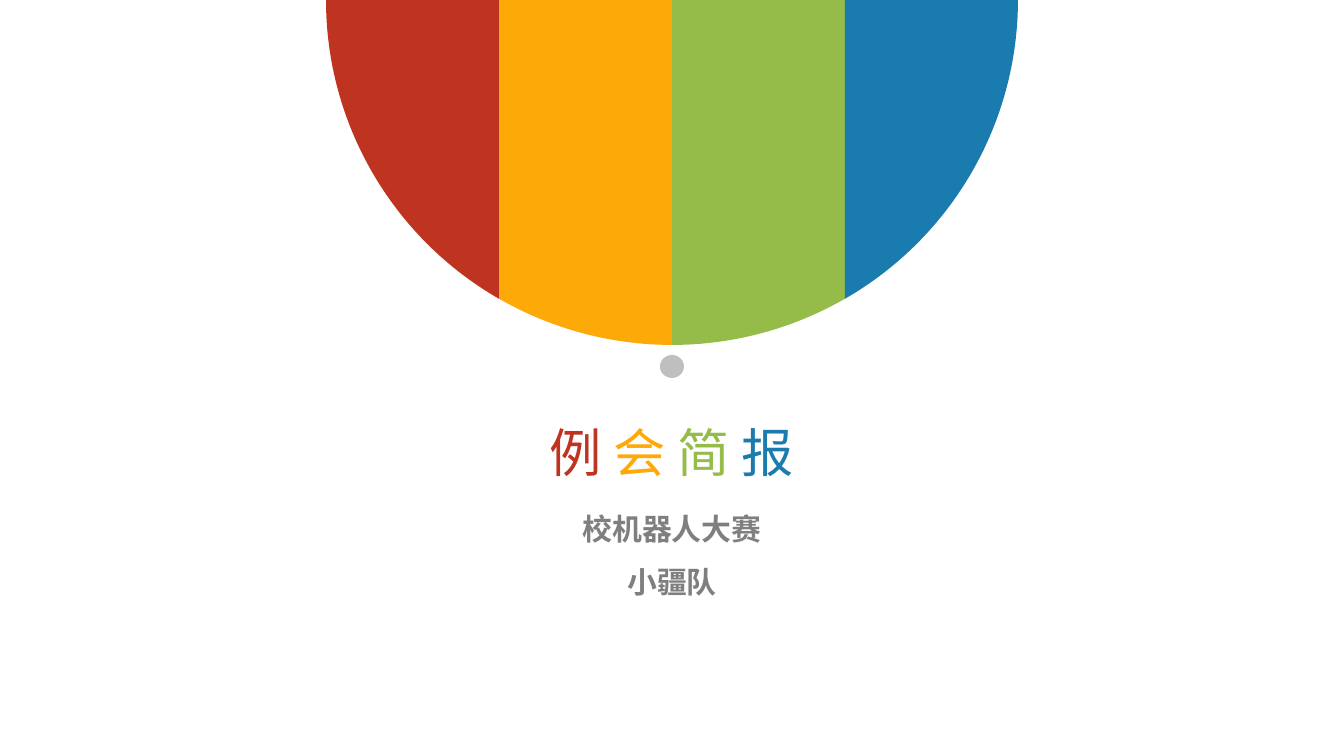
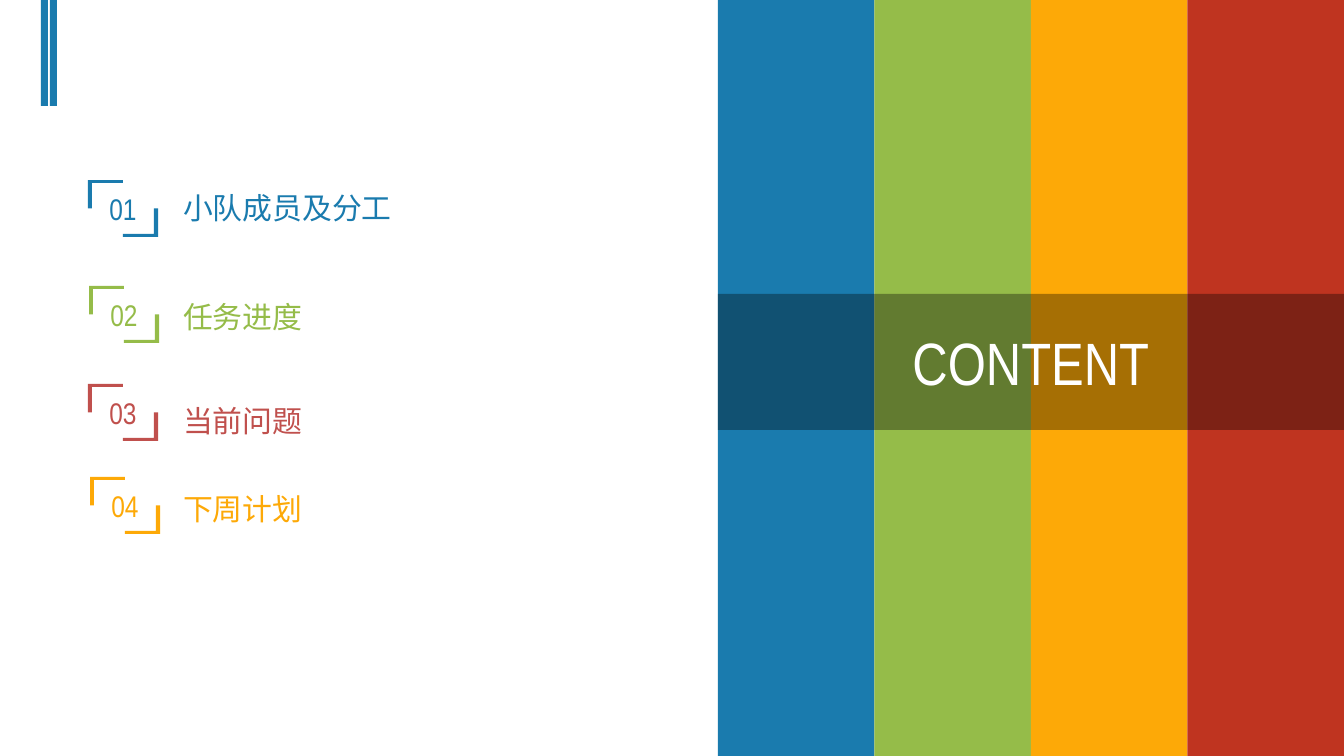
import math

from lxml import etree
from pptx import Presentation
from pptx.dml.color import RGBColor
from pptx.enum.shapes import MSO_SHAPE
from pptx.enum.text import MSO_ANCHOR, MSO_AUTO_SIZE, PP_ALIGN
from pptx.oxml.ns import qn
from pptx.util import Pt

RECT, OVAL = MSO_SHAPE.RECTANGLE, MSO_SHAPE.OVAL
LEFT, CENTER = PP_ALIGN.LEFT, PP_ALIGN.CENTER
TOP, MIDDLE = MSO_ANCHOR.TOP, MSO_ANCHOR.MIDDLE
FIT_SHAPE = MSO_AUTO_SIZE.SHAPE_TO_FIT_TEXT

SLIDE_W, SLIDE_H = 1344, 756
EMU_PER_PX = 914400 / 134.4

COLORS = {
    "red": "BF3420", "orange": "FDA907", "green": "95BC49", "blue": "1A7BAE",
    "rose": "C0504D", "dot": "BFBFBF", "gray": "7F7F7F",
    "black": "000000", "white": "FFFFFF",
}
STRIPES = ["red", "orange", "green", "blue"]
BODY_FONT, NARROW_FONT = "Arial", "Arial Narrow"

TITLE = ["例 ", "会 ", "简 ", "报"]
SUBTITLE = ["校机器人大赛", "小疆队"]

# number, label, colour, frame corner, label top
AGENDA = [
    ("01", "小队成员及分工", "blue", (88, 180), 183),
    ("02", "任务进度", "green", (89, 286), 292),
    ("03", "当前问题", "rose", (88, 384), 396),
    ("04", "下周计划", "orange", (90, 477), 484),
]


def px(value):
    return round(value * EMU_PER_PX)


def rgb(name):
    return RGBColor.from_string(COLORS[name])


def paint(sp, color, opacity=100):
    sp.shadow.inherit = False
    sp.line.fill.background()
    sp.fill.solid()
    sp.fill.fore_color.rgb = rgb(color)
    if opacity < 100:
        clr = sp.element.find(".//" + qn("a:srgbClr"))
        etree.SubElement(clr, qn("a:alpha"), val=str(opacity * 1000))
    return sp


def add_shape(slide, kind, box, color, opacity=100):
    sp = slide.shapes.add_shape(kind, *map(px, box))
    return paint(sp, color, opacity)


def add_outline(slide, contours, color):
    """Fill one freeform made of closed contours, given as px points."""
    contours = [[(px(x), px(y)) for x, y in points] for points in contours]
    builder = slide.shapes.build_freeform(*contours[0][0], scale=1.0)
    for i, points in enumerate(contours):
        if i:
            builder.move_to(*points[0])
        builder.add_line_segments(points[1:], close=True)
    return paint(builder.convert_to_shape(), color)


def curve_segments(sp, first):
    """Merge three line segments, from index first, into one Bézier curve."""
    lines = list(sp.element.iter(qn("a:lnTo")))[first:first + 3]
    curve = etree.Element(qn("a:cubicBezTo"))
    lines[0].addprevious(curve)
    for line in lines:
        curve.append(line[0])
        line.getparent().remove(line)


def write(sp, paragraphs, size, font=BODY_FONT, bold=False, align=CENTER,
          anchor=MIDDLE, spacing=None):
    """Fill a shape with paragraphs, each a list of (text, colour) runs."""
    tf = sp.text_frame
    tf.word_wrap = True
    tf.vertical_anchor = anchor
    for i, runs in enumerate(paragraphs):
        p = tf.add_paragraph() if i else tf.paragraphs[0]
        p.alignment = align
        if spacing:
            p.line_spacing = spacing
        for text, color in runs:
            r = p.add_run()
            r.text = text
            r.font.size = Pt(size)
            r.font.name = font
            r.font.bold = bold
            r.font.color.rgb = rgb(color)


def add_text(slide, box, paragraphs, size, **fmt):
    sp = slide.shapes.add_textbox(*map(px, box))
    write(sp, paragraphs, size, anchor=TOP, **fmt)
    sp.text_frame.auto_size = FIT_SHAPE


def add_half_disc(slide, rx=346, ry=345):
    """Hang a half disc, cut into equal stripes, from the top edge."""
    mid = SLIDE_W / 2
    n = len(STRIPES)
    cuts = [2 * i / n - 1 for i in range(n + 1)]
    for color, left, right in zip(STRIPES, cuts, cuts[1:]):
        start, end = math.acos(left), math.acos(right)
        k = 4 / 3 * math.tan((start - end) / 4)
        (x0, y0), (x3, y3) = [(math.cos(a), math.sin(a))
                              for a in (start, end)]
        unit = [(right, 0), (left, 0), (x0, y0),
                (x0 + k * y0, y0 - k * x0), (x3 - k * y3, y3 + k * x3),
                (x3, y3)]
        points = [(mid + rx * x, ry * y) for x, y in unit]
        curve_segments(add_outline(slide, [points], color), first=2)


def add_corner_frame(slide, x, y, number, color):
    w, h, bar_w, bar_h = 70, 57, 4, 3
    corner = [(0, 0), (w / 2, 0), (w / 2, bar_h), (bar_w, bar_h),
              (bar_w, h / 2), (0, h / 2)]
    top_left = [(x + dx, y + dy) for dx, dy in corner]
    bottom_right = [(x + w - dx, y + h - dy) for dx, dy in corner]
    sp = add_outline(slide, [bottom_right, top_left], color)
    write(sp, [[(number, color)]], 16, font=NARROW_FONT)


def build_cover(slide):
    add_half_disc(slide)
    add_shape(slide, OVAL, (660, 355, 24, 23), "dot")
    add_text(slide, (238, 414, 867, 77), [list(zip(TITLE, STRIPES))], 28)
    add_text(slide, (298, 486, 748, 122),
             [[(line, "gray")] for line in SUBTITLE],
             16, bold=True, spacing=1.5)


def build_agenda(slide):
    for x in (41, 50):
        add_shape(slide, RECT, (x, 0, 7, 106), "blue")

    for number, label, color, frame_at, label_y in AGENDA:
        add_corner_frame(slide, *frame_at, number, color)
        add_text(slide, (170, label_y, 535, 50), [[(label, color)]], 16,
                 align=LEFT)

    panel_x = 718
    panel_w = SLIDE_W - panel_x
    stripe_w = panel_w / len(STRIPES)
    for i, color in enumerate(reversed(STRIPES)):
        add_shape(slide, RECT,
                  (panel_x + i * stripe_w, 0, stripe_w, SLIDE_H), color)
    band = add_shape(slide, RECT, (panel_x, 294, panel_w, 136), "black",
                     opacity=34)
    write(band, [[("CONTENT", "white")]], 32, font=NARROW_FONT)


def main():
    prs = Presentation()
    prs.slide_width, prs.slide_height = px(SLIDE_W), px(SLIDE_H)
    blank = prs.slide_layouts[6]
    for build in (build_cover, build_agenda):
        build(prs.slides.add_slide(blank))
    prs.save("out.pptx")


if __name__ == "__main__":
    main()
